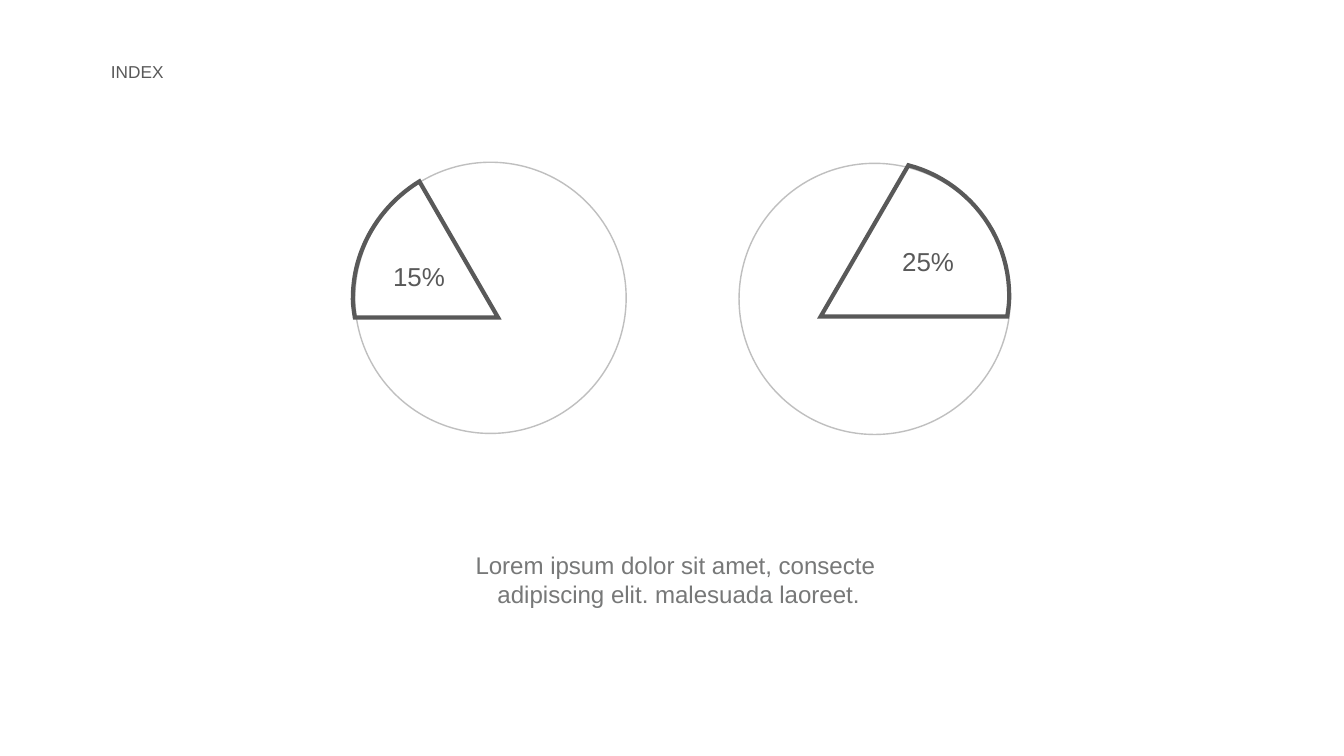
from dataclasses import dataclass

from lxml import etree
from pptx import Presentation
from pptx import util as u
from pptx.dml.color import RGBColor
from pptx.enum import shapes, text
from pptx.oxml.ns import qn

Point = tuple[float, float]
Bezier = tuple[Point, Point, Point]


@dataclass(frozen=True)
class Theme:
    font: str = "Arial"
    dark: str = "595959"
    ring: str = "BFBFBF"
    body: str = "777878"
    index_size: float = 12.3
    share_size: float = 18.5
    body_size: float = 17.2
    ring_width: float = 1
    wedge_width: float = 3


@dataclass(frozen=True)
class Label:
    lines: list[str]
    left: float
    top: float
    width: float
    height: float
    size: float
    color: str
    centered: bool = True
    spacing: float = 1.0


@dataclass(frozen=True)
class Pie:
    left: float
    top: float
    apex: Point
    arc_start: Point
    arcs: list[Bezier]
    share: Label


THEME = Theme()
DIAMETER = 2.69
ARC_STEPS = 24


def share_label(share: str, left: float, top: float) -> Label:
    return Label([share], left, top, 2.07, 0.53, THEME.share_size, THEME.dark, spacing=1.5)


PIES = [
    Pie(3.52, 1.61, (4.94, 3.15), (3.52, 3.15),
        [((3.51, 3.09), (3.5, 3.02), (3.5, 2.96)),
         ((3.5, 2.47), (3.77, 2.04), (4.16, 1.8))],
        share_label("15%", 3.12, 2.37)),
    Pie(7.33, 1.62, (8.14, 3.14), (9.01, 1.64),
        [((9.58, 1.79), (10.01, 2.31), (10.01, 2.94)),
         ((10.01, 3.01), (10, 3.07), (9.99, 3.14))],
        share_label("25%", 8.17, 2.22)),
]

LABELS = [
    Label(["Lorem ipsum dolor sit amet, consecte ", "adipiscing elit. malesuada laoreet."],
          4.05, 5.4, 5.36, 0.7, THEME.body_size, THEME.body),
    Label(["INDEX"], 0.98, 0.55, 1.85, 0.33, THEME.index_size, THEME.dark, centered=False),
]


def bezier_points(start: Point, arc: Bezier) -> list[Point]:
    def at(t: float, axis: int) -> float:
        a, b, c, d = (point[axis] for point in (start, *arc))
        s = 1 - t
        return s**3 * a + 3 * s * s * t * b + 3 * s * t * t * c + t**3 * d

    return [(at(i / ARC_STEPS, 0), at(i / ARC_STEPS, 1)) for i in range(1, ARC_STEPS + 1)]


def outline(shape, color: str, width: float) -> None:
    shape.shadow.inherit = False
    shape.fill.background()
    shape.line.color.rgb = RGBColor.from_string(color)
    shape.line.width = u.Pt(width)


def draw_label(slide, label: Label) -> None:
    box = slide.shapes.add_textbox(*map(u.Inches, (label.left, label.top, label.width, label.height)))
    frame = box.text_frame
    frame.word_wrap = True
    frame.auto_size = text.MSO_AUTO_SIZE.SHAPE_TO_FIT_TEXT
    frame.margin_left = frame.margin_right = u.Inches(0.12)
    frame.margin_top = frame.margin_bottom = u.Inches(0.06)
    frame.text = "\n".join(label.lines)
    for paragraph in frame.paragraphs:
        paragraph.alignment = text.PP_ALIGN.CENTER if label.centered else text.PP_ALIGN.LEFT
        paragraph.line_spacing = label.spacing
        for run in paragraph.runs:
            run.font.name = THEME.font
            run.font.size = u.Pt(label.size)
            run.font.color.rgb = RGBColor.from_string(label.color)


def draw_pie(slide, pie: Pie) -> None:
    ring = slide.shapes.add_shape(
        shapes.MSO_SHAPE.OVAL, *map(u.Inches, (pie.left, pie.top, DIAMETER, DIAMETER)))
    outline(ring, THEME.ring, THEME.ring_width)

    edge = [pie.arc_start]
    for arc in pie.arcs:
        edge += bezier_points(edge[-1], arc)
    builder = slide.shapes.build_freeform(*map(u.Inches, pie.apex))
    builder.add_line_segments([(u.Inches(x), u.Inches(y)) for x, y in edge], close=True)
    wedge = builder.convert_to_shape()
    outline(wedge, THEME.dark, THEME.wedge_width)
    etree.SubElement(wedge.line._get_or_add_ln(), qn("a:miter"), lim="800000")

    draw_label(slide, pie.share)


def main() -> None:
    deck = Presentation()
    deck.slide_width, deck.slide_height = u.Inches(13.33), u.Inches(7.5)
    slide = deck.slides.add_slide(deck.slide_layouts[6])
    for pie in PIES:
        draw_pie(slide, pie)
    for label in LABELS:
        draw_label(slide, label)
    deck.save("out.pptx")


if __name__ == "__main__":
    main()
